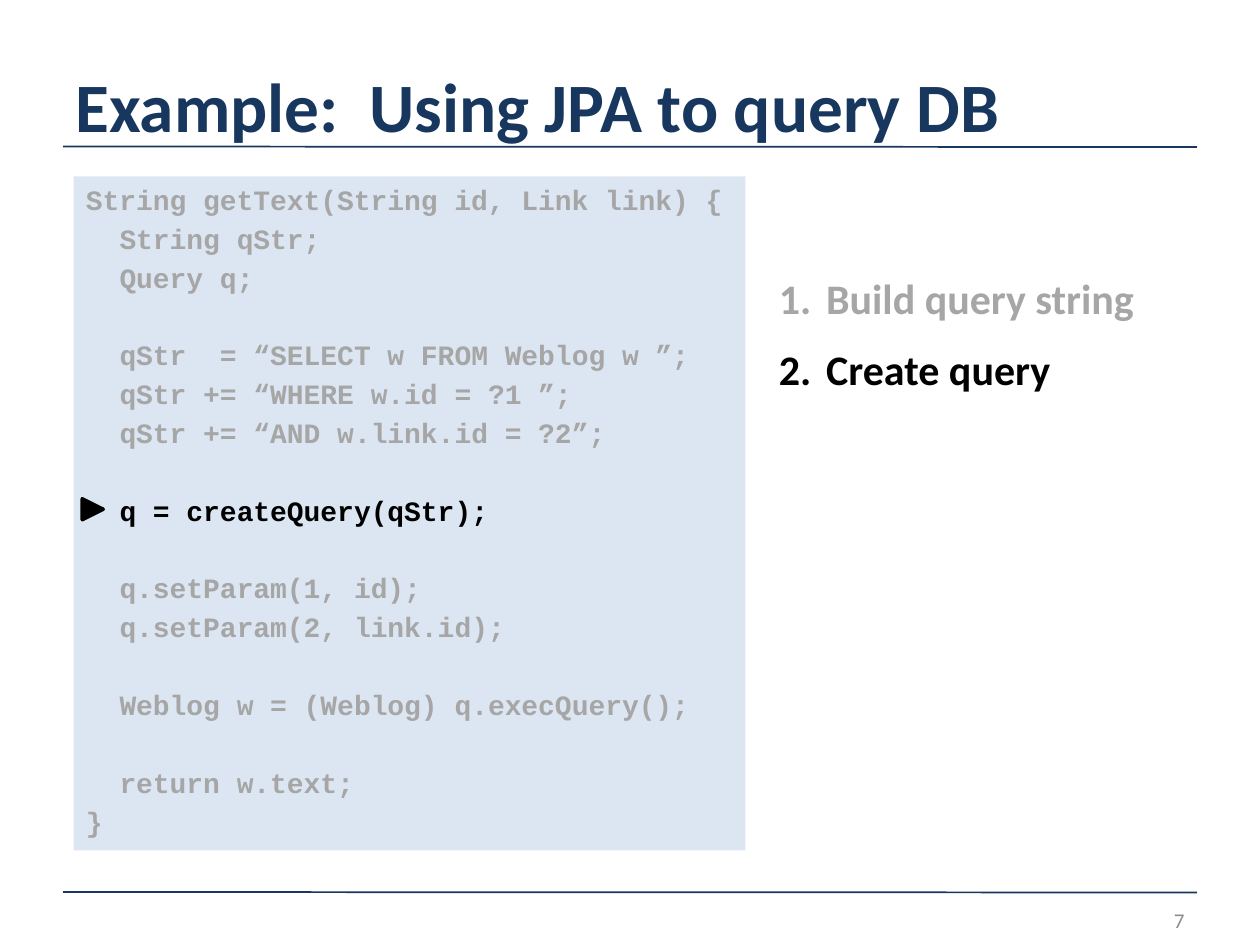
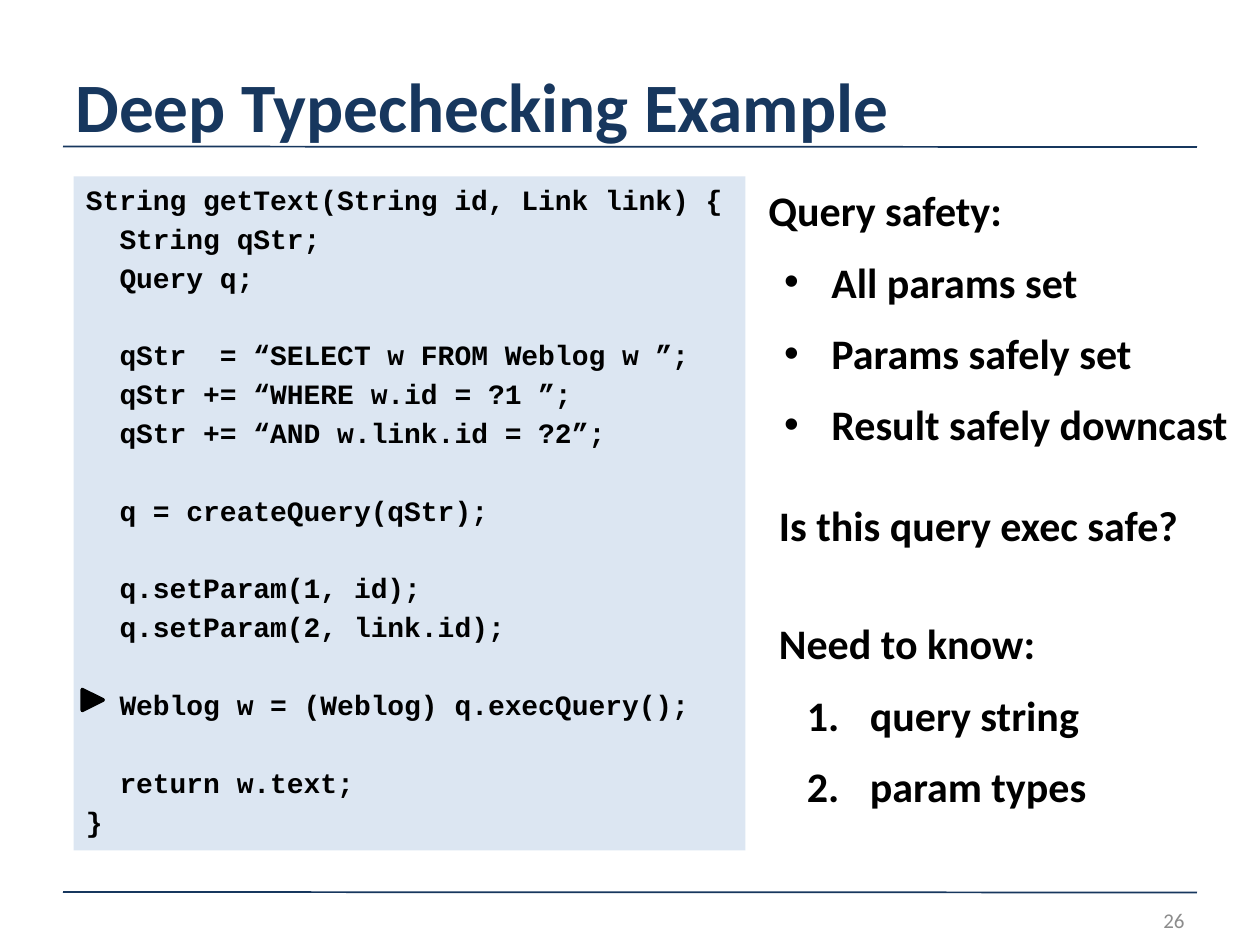
"""Build two slides that walk through a JPA query method."""
from dataclasses import dataclass

from lxml import etree
from pptx import Presentation
from pptx import util as u
from pptx.dml.color import RGBColor
from pptx.enum import shapes, text
from pptx.oxml.ns import qn


@dataclass(frozen=True)
class Theme:
    navy: str = "17375E"
    panel: str = "DCE6F2"
    black: str = "000000"
    faded: str = "A6A6A6"
    page: str = "8C8C8C"
    body_font: str = "Calibri"
    code_font: str = "Courier New"
    title_size: float = 39.6
    code_size: float = 16
    list_size: float = 24
    page_size: float = 12


T = Theme()
TITLE = {"name": T.body_font, "size": u.Pt(T.title_size), "bold": True}
CODE = {"name": T.code_font, "size": u.Pt(T.code_size), "bold": True}
LIST = {"name": T.body_font, "size": u.Pt(T.list_size), "bold": True}
PAGE = {"name": T.body_font, "size": u.Pt(T.page_size), "bold": False}

CODE_BLOCKS = [
    [(0, "String getText(String id, Link link) {"), (1, "String qStr;"), (1, "Query q;")],
    [(1, "qStr  = “SELECT w FROM Weblog w ”;"),
     (1, "qStr += “WHERE w.id = ?1 ”;"),
     (1, "qStr += “AND w.link.id = ?2”;")],
    [(1, "q = createQuery(qStr);")],
    [(1, "q.setParam(1, id);"), (1, "q.setParam(2, link.id);")],
    [(1, "Weblog w = (Weblog) q.execQuery();")],
    [(1, "return w.text;"), (0, "}")],
]
CODE_GAP = 3
CODE_PITCH = 22.2
CODE_INDENT = 19.2

PLAIN = (27, -27, None, {})
STEP = (27, -27, "a:buAutoNum", {"type": "arabicPeriod"})
DOT = (36, -27, "a:buChar", {"char": "•"})
NEED = (52, -36, "a:buAutoNum", {"type": "arabicPeriod"})

SLIDES = [
    {"title": "Example:  Using JPA to query DB", "page": "7",
     "focus": "q = createQuery(qStr);", "marker_top": 285,
     "notes": [
         ((438, 152, 246, 78), [(STEP, "Build query string", T.faded),
                                (STEP, "Create query", T.black)]),
     ]},
    {"title": "Deep Typechecking Example", "page": "26",
     "focus": None, "marker_top": 394,
     "notes": [
         ((432, 102, 288, 160), [(PLAIN, "Query safety:", T.black),
                                 (DOT, "All params set", T.black),
                                 (DOT, "Params safely set", T.black),
                                 (DOT, "Result safely downcast", T.black)]),
         ((438, 282, 246, 36), [(PLAIN, "Is this query exec safe?", T.black)]),
         ((438, 349.5, 246, 119), [(PLAIN, "Need to know:", T.black),
                                   (NEED, "query string", T.black),
                                   (NEED, "param types", T.black)]),
     ]},
]


def add_box(s, box, anchor, fill=None):
    left, top, width, height = map(u.Pt, box)
    if fill:
        sp = s.shapes.add_shape(shapes.MSO_SHAPE.RECTANGLE, left, top, width, height)
        sp.shadow.inherit = False
        sp.fill.solid()
        sp.fill.fore_color.rgb = RGBColor.from_string(fill)
        sp.line.fill.background()
    else:
        sp = s.shapes.add_textbox(left, top, width, height)
    tf = sp.text_frame
    tf.word_wrap = True
    tf.vertical_anchor = anchor
    return tf


def add_line(tf, words, font, color, **spacing):
    p = tf.add_paragraph() if tf.paragraphs[0].runs else tf.paragraphs[0]
    for key, value in {"alignment": text.PP_ALIGN.LEFT, **spacing}.items():
        setattr(p, key, value)
    r = p.add_run()
    r.text = words
    for key, value in font.items():
        setattr(r.font, key, value)
    r.font.color.rgb = RGBColor.from_string(color)
    return p


prs = Presentation()
prs.slide_width, prs.slide_height = u.Pt(720), u.Pt(540)
TOP, MIDDLE = text.MSO_ANCHOR.TOP, text.MSO_ANCHOR.MIDDLE

for content in SLIDES:
    s = prs.slides.add_slide(prs.slide_layouts[6])

    for start, end in ((83.75, 84), (509.75, 510)):
        rule = s.shapes.add_connector(shapes.MSO_CONNECTOR.STRAIGHT,
                                      u.Pt(36), u.Pt(start), u.Pt(684), u.Pt(end))
        rule.line.color.rgb = RGBColor.from_string(T.navy)
        rule.line.width = u.Pt(1)
        etree.SubElement(rule._element.spPr, qn("a:effectLst"))

    tf = add_box(s, (36, 36, 648, 48), MIDDLE)
    add_line(tf, content["title"], TITLE, T.navy)

    tf = add_box(s, (42, 100.8, 384, 385.2), TOP, T.panel)
    for b, block in enumerate(CODE_BLOCKS):
        for i, (level, words) in enumerate(block):
            gap = CODE_GAP + (CODE_PITCH if b and i == 0 else 0)
            color = T.black if content["focus"] in (None, words) else T.faded
            p = add_line(tf, words, CODE, color, space_before=u.Pt(gap))
            p._p.get_or_add_pPr().set("marL", str(u.Pt(level * CODE_INDENT)))

    for box, lines in content["notes"]:
        tf = add_box(s, box, TOP)
        for (margin, indent, bullet, attrs), words, color in lines:
            p = add_line(tf, words, LIST, color, space_after=u.Pt(12))
            pPr = p._p.get_or_add_pPr()
            pPr.set("marL", str(u.Pt(margin)))
            pPr.set("indent", str(u.Pt(indent)))
            if bullet == "a:buChar":
                etree.SubElement(pPr, qn("a:buFont"), typeface="Arial")
            if bullet:
                etree.SubElement(pPr, qn(bullet), **attrs)

    marker = s.shapes.add_shape(shapes.MSO_SHAPE.ISOSCELES_TRIANGLE, u.Pt(47),
                                u.Pt(content["marker_top"]), u.Pt(12), u.Pt(12))
    marker.rotation = 90
    marker.shadow.inherit = False
    marker.fill.solid()
    marker.fill.fore_color.rgb = RGBColor.from_string(T.black)
    marker.line.color.rgb = RGBColor.from_string(T.black)
    marker.line.width = u.Pt(2)

    tf = add_box(s, (516, 511, 168, 29), MIDDLE)
    add_line(tf, content["page"], PAGE, T.page, alignment=text.PP_ALIGN.RIGHT)

prs.save("out.pptx")
